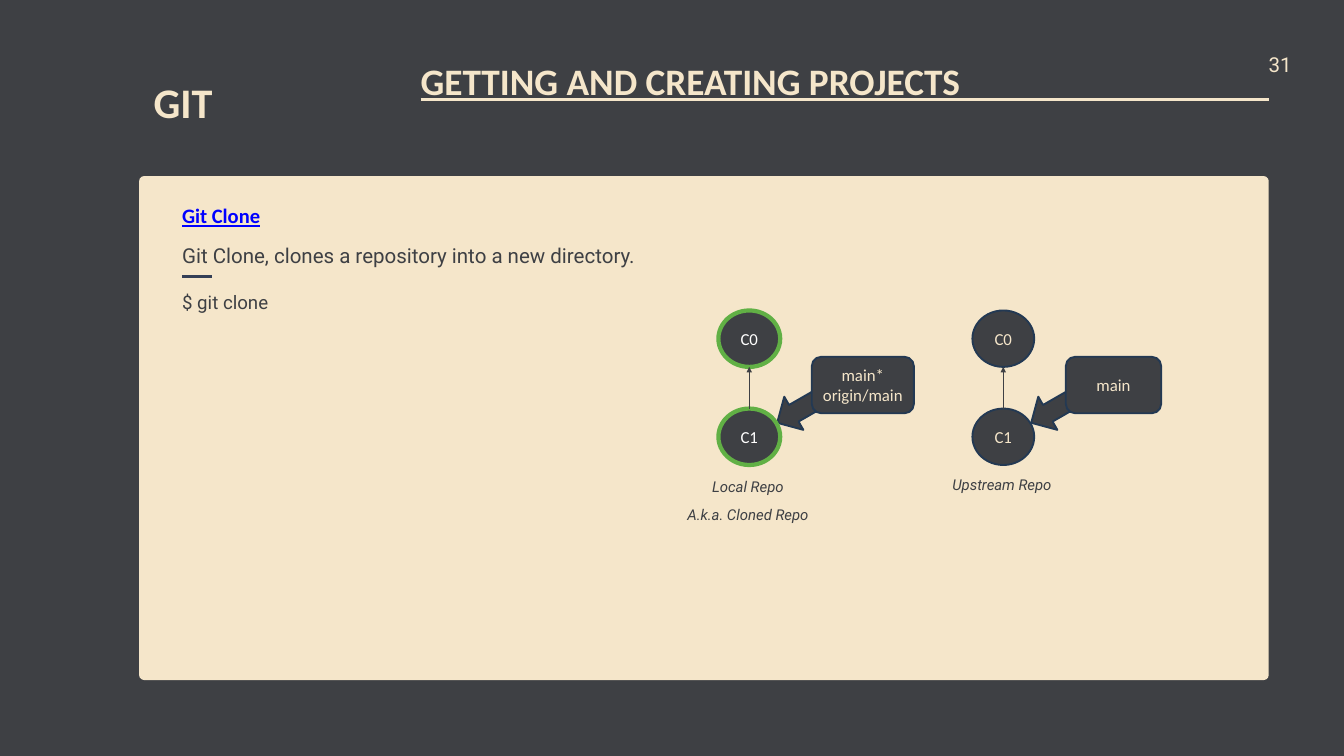
from lxml.etree import SubElement
from pptx import Presentation
from pptx.dml.color import RGBColor
from pptx.enum.shapes import MSO_CONNECTOR, MSO_SHAPE
from pptx.enum.text import MSO_ANCHOR, PP_ALIGN
from pptx.oxml.ns import qn
from pptx.util import Inches, Pt

COLORS = {
    "dark": "3E4044", "cream": "F5E6CA", "navy": "233953", "slate": "343F56",
    "link": "0000FF", "green": "61B045", "white": "FFFFFF",
}
WIDTH, HEIGHT = Inches(20), Inches(11.25)
COLUMNS = 20
CELL = WIDTH / COLUMNS
PANEL = (2.07, 2.62, 16.81, 7.5)
PANEL_RIGHT = PANEL[0] + PANEL[2]
TITLE_LEFT, BODY_LEFT = 6.26, 2.71
NODE_SIZE = (0.92, 0.84)
NODE_ROWS = (("C0", 4.62), ("C1", 6.08))

TEXTS = [
    {"lines": ["GETTING AND CREATING PROJECTS"], "box": (TITLE_LEFT, 0.77, 12.61, 0.66),
     "size": 40, "font": "Calibri", "color": "cream", "spacing": 55.1, "bold": True},
    {"lines": ["GIT"], "box": (PANEL[0], 1.01, 1.31, 0.88), "size": 45.1, "font": "Calibri",
     "color": "cream", "spacing": 63.2, "bold": True, "align": PP_ALIGN.CENTER},
    {"lines": ["31"], "box": (PANEL_RIGHT, 0.71, 0.38, 0.4), "size": 22, "color": "cream"},
    {"lines": ["Git Clone"], "box": (BODY_LEFT, 2.96, 4.04, 0.37), "size": 22,
     "font": "Calibri", "color": "link", "bold": True, "underline": True},
    {"lines": ["Git Clone, clones a repository into a new directory."],
     "box": (BODY_LEFT, 3.55, 15.37, 0.4), "size": 22},
    {"lines": ["$ git clone"], "box": (BODY_LEFT, 4.28, 9.81, 0.36), "size": 20,
     "spacing": 28, "align": PP_ALIGN.JUSTIFY},
]
RULES = [
    ((TITLE_LEFT, 1.48), (PANEL_RIGHT, 1.48), "cream"),
    ((BODY_LEFT, 4.11), (BODY_LEFT + 0.44, 4.11), "slate"),
]
REPOSITORIES = [
    {"left": 14.47, "border": ("navy", 2), "color": "cream", "branches": ["main"],
     "tag_width": 1.42, "caption": ["Upstream Repo"], "caption_top": 6.92, "tag_first": False},
    {"left": 10.69, "border": ("green", 4.5), "color": "white",
     "branches": ["main*", "origin/main"], "tag_width": 1.52,
     "caption": ["Local Repo", "A.k.a. Cloned Repo"], "caption_top": 6.94, "tag_first": True},
]

presentation = Presentation()
presentation.slide_width, presentation.slide_height = WIDTH, HEIGHT
slide = presentation.slides.add_slide(presentation.slide_layouts[6])


def color(name):
    return RGBColor.from_string(COLORS[name])


def cells(*values):
    return [round(value * CELL) for value in values]


def write(frame, lines, size, font="Roboto", ink="dark", spacing=None,
          align=PP_ALIGN.LEFT, **style):
    frame.word_wrap = True
    for index, line in enumerate(lines):
        paragraph = frame.add_paragraph() if index else frame.paragraphs[0]
        paragraph.alignment = align
        if spacing:
            paragraph.line_spacing = Pt(spacing)
        run = paragraph.add_run()
        run.text = line
        run.font.size, run.font.name = Pt(size), font
        run.font.color.rgb = color(ink)
        for name, value in style.items():
            setattr(run.font, name, value)


def add_text(lines, box, size, color="dark", spacing=30.8, **style):
    frame = slide.shapes.add_textbox(*cells(*box)).text_frame
    frame.margin_left = frame.margin_right = frame.margin_top = frame.margin_bottom = 0
    write(frame, lines, size, ink=color, spacing=spacing, **style)


def add_block(kind, box, fill="dark", border=("navy", 2), lines=(), ink="cream"):
    shape = slide.shapes.add_shape(kind, *cells(*box))
    shape.shadow.inherit = False
    shape.fill.solid()
    shape.fill.fore_color.rgb = color(fill)
    if border:
        shape.line.color.rgb, shape.line.width = color(border[0]), Pt(border[1])
    else:
        shape.line.fill.background()
    shape.text_frame.vertical_anchor = MSO_ANCHOR.MIDDLE
    write(shape.text_frame, lines, 18, "Calibri", ink, align=PP_ALIGN.CENTER)
    return shape


def add_line(start, end, ink, width):
    line = slide.shapes.add_connector(MSO_CONNECTOR.STRAIGHT, *cells(*start, *end))
    line.line.color.rgb, line.line.width = color(ink), Pt(width)
    SubElement(line._element.spPr, qn("a:effectLst"))
    return line


def add_commits(repository):
    left = repository["left"]
    nodes = [add_block(MSO_SHAPE.OVAL, (left, top, *NODE_SIZE), border=repository["border"],
                       lines=[label], ink=repository["color"]) for label, top in NODE_ROWS]
    middle = left + NODE_SIZE[0] / 2
    link = add_line((middle, NODE_ROWS[1][1]), (middle, NODE_ROWS[0][1] + NODE_SIZE[1]),
                    "dark", 0.75)
    link.begin_connect(nodes[1], 0)
    SubElement(link.line._get_or_add_ln(), qn("a:tailEnd"), type="triangle")


def add_branch_tag(repository):
    left = repository["left"]
    arrow = add_block(MSO_SHAPE.RIGHT_ARROW, (left + 0.82, 5.8, 0.83, 0.57))
    arrow.rotation = 150.1
    add_block(MSO_SHAPE.ROUNDED_RECTANGLE,
              (left + 1.39, 5.31, repository["tag_width"], NODE_SIZE[1]),
              lines=repository["branches"])


background = slide.background.fill
background.solid()
background.fore_color.rgb = color("dark")
panel = add_block(MSO_SHAPE.ROUNDED_RECTANGLE, PANEL, "cream", None)
panel.adjustments[0] = 0.01
for start, end, ink in RULES:
    add_line(start, end, ink, 3)
for text in TEXTS:
    add_text(**text)
for repository in REPOSITORIES:
    steps = [add_commits, add_branch_tag]
    for step in reversed(steps) if repository["tag_first"] else steps:
        step(repository)
    caption = repository["caption"]
    add_text(caption, (repository["left"] - 0.52, repository["caption_top"], 1.92,
                       0.41 * len(caption)), 16, align=PP_ALIGN.CENTER, italic=True)

presentation.save("out.pptx")
